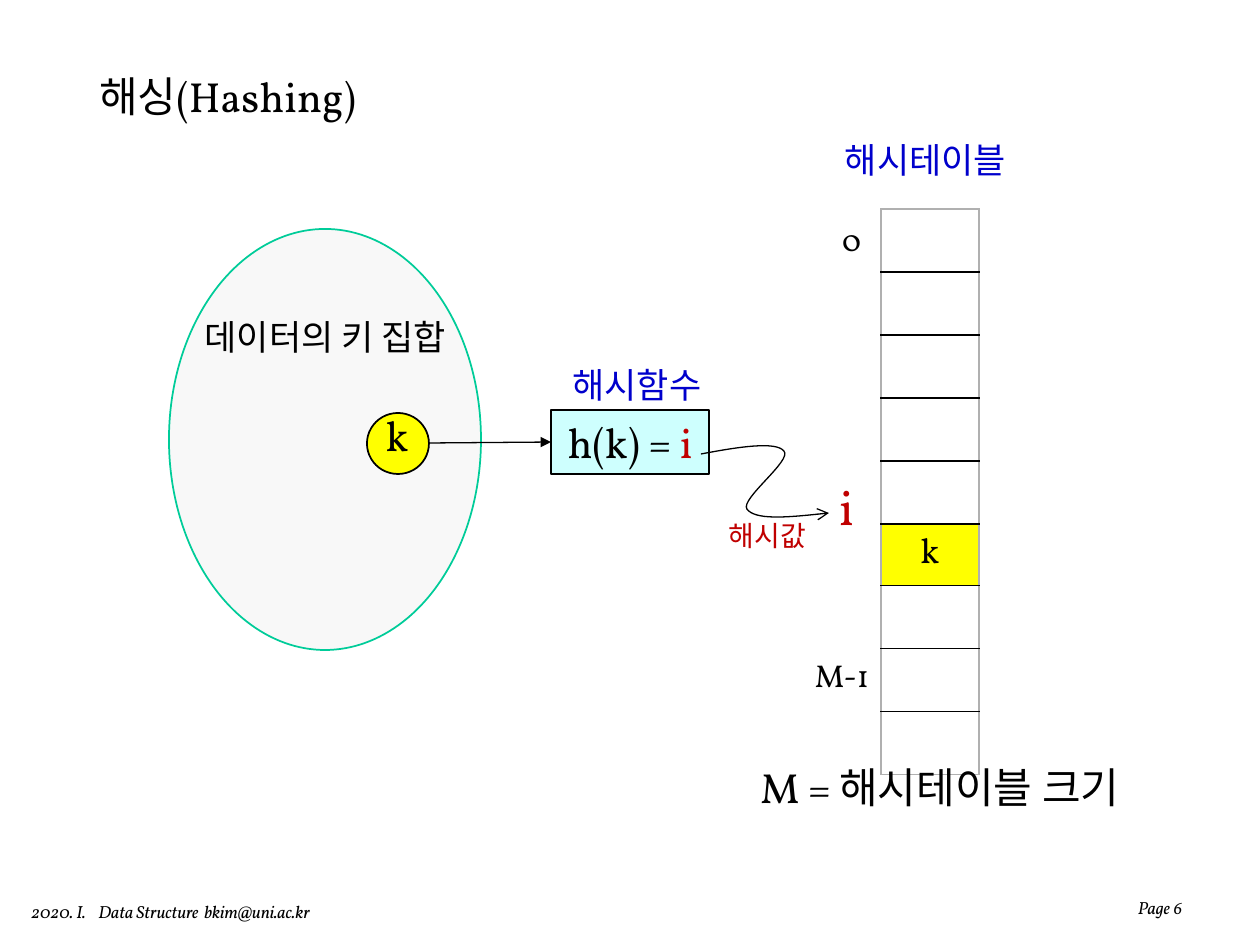
from lxml import etree
from pptx import Presentation
from pptx import util as u
from pptx.dml.color import RGBColor
from pptx.enum import shapes, text
from pptx.oxml.ns import qn

SCALE = 914400 / 126
FONT = "Vollkorn"
COLORS = {"black": "000000", "blue": "0000CC", "red": "C00000", "green": "00CC99",
          "yellow": "FFFF00", "cyan": "CEFFFE", "pale": "F8F8F8", "gray": "B0B0B0"}

LABELS = [
    ((87, 50, 1086, 91), "해싱(Hashing)", dict(size=24, align="LEFT", anchor="MIDDLE", wrap=True)),
    ((553, 357, 168, 55), "해시함수", dict(size=20, color="blue")),
    ((824, 132, 203, 55), "해시테이블", dict(size=20, color="blue")),
    ((180, 309, 291, 55), "데이터의 키 집합", dict(size=20)),
    ((372, 403, 50, 64), "k", dict(size=24)),
    ((827, 470, 40, 72), "i", dict(size=28, color="red")),
    ((824, 214, 55, 50), "0", dict(size=18, wrap=True)),
    ((789, 650, 106, 50), "M-1", dict(size=18, wrap=True)),
    ((699, 512, 137, 47), "해시값", dict(size=16, color="red", wrap=True)),
    ((748, 755, 418, 63), "M = 해시테이블 크기", dict(size=24, align="LEFT")),
    ((19, 895, 325, 34), "2020. I.\tData Structure\tbkim@uni.ac.kr",
     dict(size=10, align="LEFT", italic=True, tabs=(67, 173))),
    ((966, 861, 229, 63), "Page 6",
     dict(size=10, align="RIGHT", anchor="BOTTOM", wrap=True, italic=True)),
]
KEY_SET = (169, 229, 312, 421)
KEY = (367, 413, 62, 61)
FUNCTION = (551, 410, 158, 64)
KEY_ARROW = (429, 443, 551, 442)
HASH_CURVE = [(701, 454), (738, 447), (776, 441), (784, 451), (793, 460),
              (740, 499), (747, 509), (755, 520), (793, 517), (829, 513)]
TABLE_LEFT, TABLE_TOP, TABLE_WIDTH = 881, 209, 98
SLOTS = ["", "", "", "", "", "k", "", "", ""]
EMPTY_HEIGHT, FILLED_HEIGHT = 63, 55


def px(value):
    return u.Emu(round(value * SCALE))


def rgb(name):
    return RGBColor.from_string(COLORS[name])


def write(frame, words, size=20, color="black", align="CENTER", anchor="TOP",
          wrap=False, italic=False, tabs=()):
    frame.word_wrap = wrap
    frame.vertical_anchor = text.MSO_ANCHOR[anchor]
    para = frame.paragraphs[0]
    para.alignment = text.PP_ALIGN[align]
    if tabs:
        stops = etree.SubElement(para._p.get_or_add_pPr(), qn("a:tabLst"))
        for stop in tabs:
            etree.SubElement(stops, qn("a:tab"), pos=str(px(stop)), algn="l")
    parts = [(words, color)] if isinstance(words, str) else words
    for part, shade in parts:
        span = para.add_run()
        span.text = part
        span.font.name = FONT
        span.font.size = u.Pt(size)
        span.font.italic = italic
        span.font.color.rgb = rgb(shade)


def add_preset(kind, place, fill, line, width):
    shape = page.shapes.add_shape(shapes.MSO_SHAPE[kind], *map(px, place))
    shape.shadow.inherit = False
    shape.fill.solid()
    shape.fill.fore_color.rgb = rgb(fill)
    shape.line.color.rgb = rgb(line)
    shape.line.width = u.Pt(width)
    return shape


def finish_arrow(shape, head):
    shape.line.color.rgb = rgb("black")
    shape.line.width = u.Pt(0.75)
    etree.SubElement(shape.element.find(".//" + qn("a:ln")), qn("a:tailEnd"), type=head)


def add_curve(points):
    builder = page.shapes.build_freeform(*points[0], scale=SCALE)
    builder.add_line_segments(points[1:], close=False)
    curve = builder.convert_to_shape()
    curve.shadow.inherit = False
    curve.fill.background()
    segments = curve.element.findall(".//" + qn("a:lnTo"))
    outline = segments[0].getparent()
    for start in range(0, len(segments), 3):
        bezier = etree.SubElement(outline, qn("a:cubicBezTo"))
        for segment in segments[start:start + 3]:
            bezier.append(segment[0])
            outline.remove(segment)
    return curve


def add_borders(cell, row):
    edges = {"lnL": "gray", "lnR": "gray",
             "lnT": "black" if row else "gray",
             "lnB": "black" if row < len(SLOTS) - 1 else "gray"}
    properties = cell._tc.get_or_add_tcPr()
    for index, (edge, color) in enumerate(edges.items()):
        line = etree.Element(qn("a:" + edge), w=str(u.Pt(1)))
        fill = etree.SubElement(line, qn("a:solidFill"))
        etree.SubElement(fill, qn("a:srgbClr"), val=COLORS[color])
        properties.insert(index, line)


deck = Presentation()
deck.slide_width, deck.slide_height = u.Inches(10), u.Inches(7.5)
page = deck.slides.add_slide(deck.slide_layouts[6])

add_preset("OVAL", KEY_SET, "pale", "green", 1)
add_preset("OVAL", KEY, "yellow", "black", 1)
function = add_preset("RECTANGLE", FUNCTION, "cyan", "black", 0.75)
write(function.text_frame, [("h(k) = ", "black"), ("i", "red")], size=24)

heights = [FILLED_HEIGHT if slot else EMPTY_HEIGHT for slot in SLOTS]
place = (TABLE_LEFT, TABLE_TOP, TABLE_WIDTH, sum(heights))
table = page.shapes.add_table(len(SLOTS), 1, *map(px, place)).table
table.first_row = table.horz_banding = False
for row, (slot, height) in enumerate(zip(SLOTS, heights)):
    table.rows[row].height = px(height)
    cell = table.cell(row, 0)
    if slot:
        cell.fill.solid()
        cell.fill.fore_color.rgb = rgb("yellow")
        cell.vertical_anchor = text.MSO_ANCHOR.MIDDLE
        write(cell.text_frame, slot, size=20, wrap=True)
    else:
        cell.fill.background()
    add_borders(cell, row)

arrow = page.shapes.add_connector(shapes.MSO_CONNECTOR.STRAIGHT, *map(px, KEY_ARROW))
finish_arrow(arrow, "triangle")
etree.SubElement(arrow.element.spPr, qn("a:effectLst"))
finish_arrow(add_curve(HASH_CURVE), "arrow")

for place, words, style in LABELS:
    box = page.shapes.add_textbox(*map(px, place))
    write(box.text_frame, words, **style)

deck.save("out.pptx")
